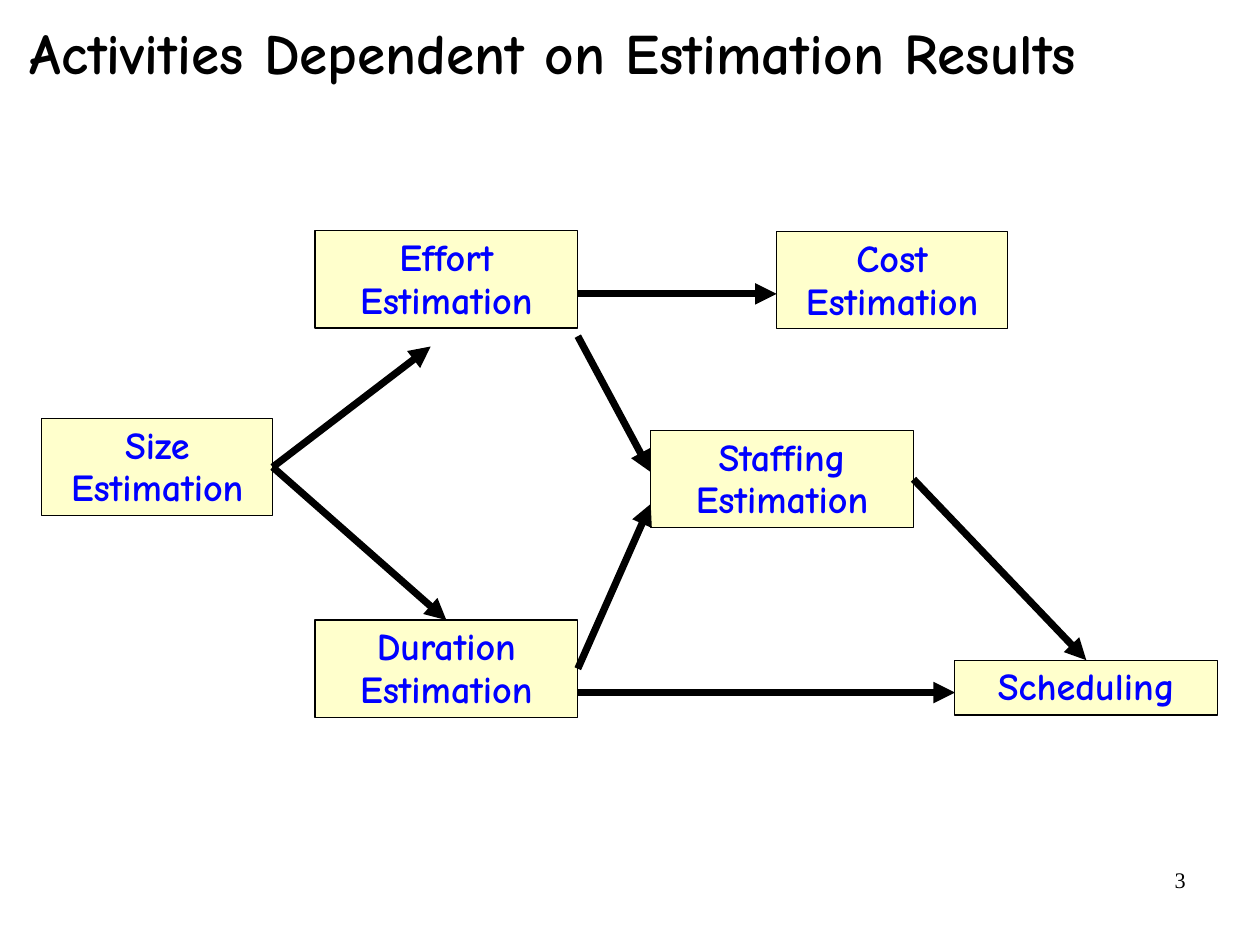
from lxml.etree import SubElement
from pptx import Presentation
from pptx.dml.color import RGBColor
from pptx.enum.shapes import MSO_CONNECTOR as CONN, MSO_SHAPE as SHAPE
from pptx.enum.text import MSO_ANCHOR as ANCHOR, PP_ALIGN as ALIGN
from pptx.oxml.ns import qn
from pptx.util import Cm, Pt

COLORS = {"ink": "000000", "box": "FFFFCC", "label": "0000FF"}
FONT = "Comic Neue"
TOP, RIGHT = 0, 3
WIDE, NARROW = 5.84, 5.13
TALL, SHORT = 2.16, 1.22

ACTIVITIES = {
    "Size Estimation": (0.93, 9.3, NARROW, TALL),
    "Effort Estimation": (7, 5.13, WIDE, TALL),
    "Cost Estimation": (17.26, 5.15, NARROW, TALL),
    "Duration Estimation": (7, 13.78, WIDE, TALL),
    "Staffing Estimation": (14.46, 9.57, WIDE, TALL),
    "Scheduling": (21.22, 14.67, WIDE, SHORT),
}

ARROWS = [
    (("Size Estimation", RIGHT), (9.57, 7.7)),
    (("Size Estimation", RIGHT), ("Duration Estimation", TOP)),
    ((12.84, 6.53), (17.26, 6.53)),
    ((12.84, 7.47), (14.46, 10.49)),
    (("Duration Estimation", RIGHT), (14.46, 11.2)),
    ((12.84, 15.39), (21.22, 15.39)),
    (("Staffing Estimation", RIGHT), ("Scheduling", TOP)),
]


def color(name):
    return RGBColor.from_string(COLORS[name])


def write(tf, text, font, size, ink, align, bold=False):
    tf.word_wrap = True
    p = tf.paragraphs[0]
    p.text = text
    p.alignment = align
    p.font.name = font
    p.font.size = Pt(size)
    p.font.bold = bold
    p.font.color.rgb = color(ink)
    return p


def set_margins(tf, side, end):
    tf.margin_left = tf.margin_right = Cm(side)
    tf.margin_top = tf.margin_bottom = Cm(end)


def add_title(s, text):
    tf = s.shapes.add_textbox(Cm(0.61), Cm(0), Cm(27.3), Cm(2.46)).text_frame
    tf.vertical_anchor = ANCHOR.MIDDLE
    set_margins(tf, 0.05, 0.15)
    p = write(tf, text, FONT, 36, "ink", ALIGN.LEFT, bold=True)
    p.line_spacing = 0.93


def add_number(s, text):
    tf = s.shapes.add_textbox(Cm(20.07), Cm(19.13), Cm(6.53), Cm(1.45)).text_frame
    write(tf, text, "Times New Roman", 14, "ink", ALIGN.RIGHT)


def add_activity(s, text, bounds):
    sp = s.shapes.add_shape(SHAPE.RECTANGLE, *map(Cm, bounds))
    sp.shadow.inherit = False
    sp.fill.solid()
    sp.fill.fore_color.rgb = color("box")
    sp.line.color.rgb = color("ink")
    sp.line.width = Pt(0.75)
    tf = sp.text_frame
    tf.vertical_anchor = ANCHOR.TOP
    set_margins(tf, 0.28, 0.15)
    p = write(tf, text, FONT, 24, "label", ALIGN.CENTER, bold=True)
    p.line_spacing = 0.93
    return sp


def is_joined(end):
    return end[0] in ACTIVITIES


def locate(end):
    if not is_joined(end):
        return end
    x, y, w, h = ACTIVITIES[end[0]]
    return {TOP: (x + w / 2, y), RIGHT: (x + w, y + h / 2)}[end[1]]


def add_arrow(s, boxes, start, finish):
    points = map(Cm, (*locate(start), *locate(finish)))
    arrow = s.shapes.add_connector(CONN.STRAIGHT, *points)
    if is_joined(start):
        arrow.begin_connect(boxes[start[0]], start[1])
    if is_joined(finish):
        arrow.end_connect(boxes[finish[0]], finish[1])
    arrow.line.color.rgb = color("ink")
    arrow.line.width = Pt(4.5)
    SubElement(arrow.line._get_or_add_ln(), qn("a:tailEnd"), type="triangle")
    SubElement(arrow._element.spPr, qn("a:effectLst"))


def main():
    prs = Presentation()
    prs.slide_width, prs.slide_height = Cm(28), Cm(21)
    s = prs.slides.add_slide(prs.slide_layouts[6])
    add_title(s, "Activities Dependent on Estimation Results")
    boxes = {text: add_activity(s, text, bounds) for text, bounds in ACTIVITIES.items()}
    for start, finish in ARROWS:
        add_arrow(s, boxes, start, finish)
    add_number(s, "3")
    prs.save("out.pptx")


if __name__ == "__main__":
    main()
